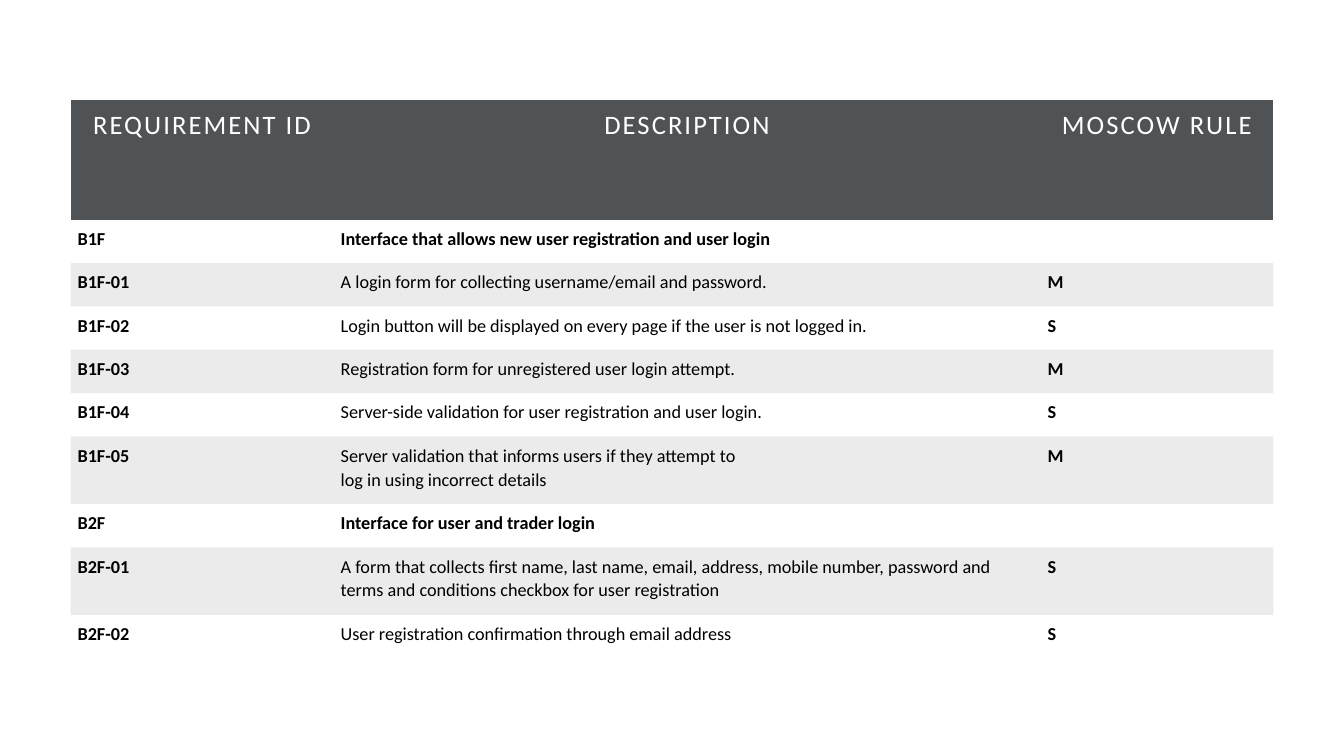
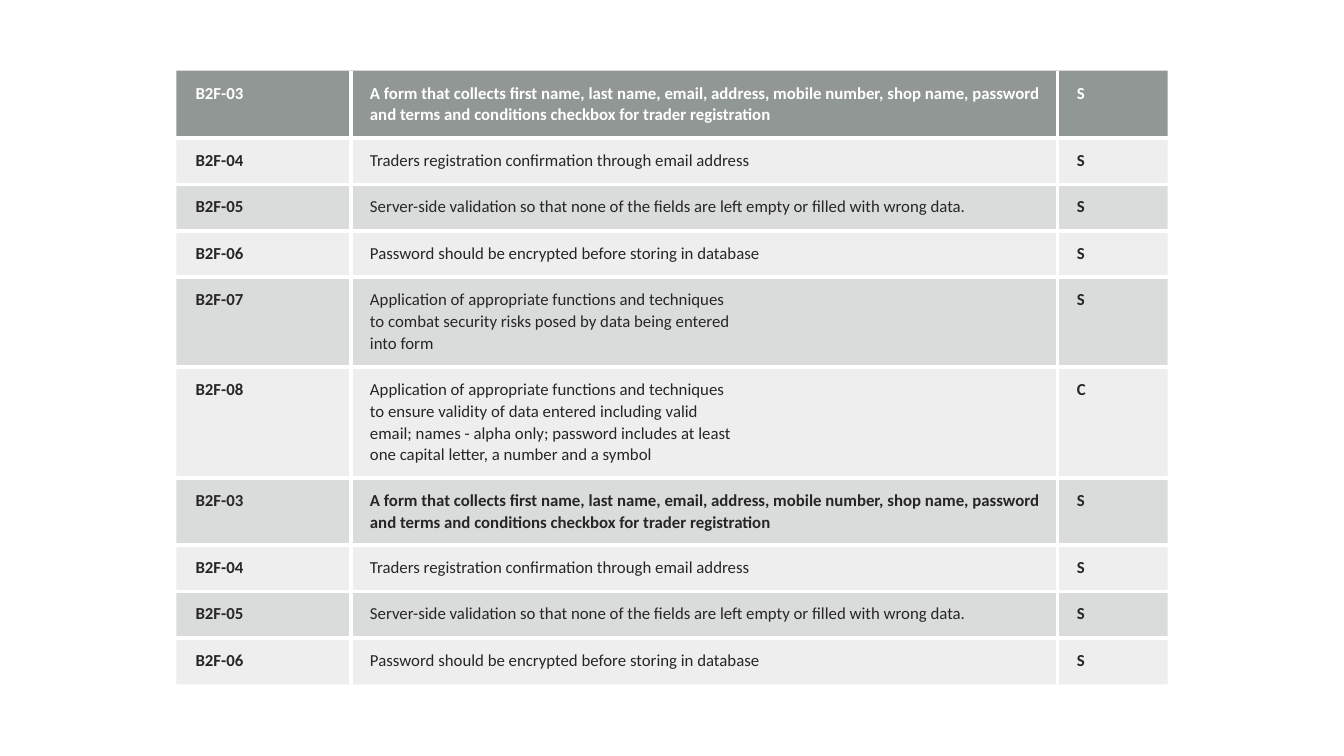
"""Build two slides of requirement tables."""
from lxml import etree
from pptx import Presentation
from pptx.dml.color import RGBColor
from pptx.enum.text import PP_ALIGN
from pptx.oxml.ns import qn
from pptx.util import Inches, Pt

CENTER, LEFT = PP_ALIGN.CENTER, PP_ALIGN.LEFT
PLAIN = "{2D5ABB26-0587-4C30-8999-92F81FD0307C}"
COLORS = {"white": "FFFFFF", "black": "000000", "ink": "262626",
          "slate": "505356", "moss": "636B68", "sage": "878E8B"}
GROUPS = {"B1F", "B2F", "B2F-03"}

USERS = [
    ("REQUIREMENT ID", "DESCRIPTION", "MOSCOW RULE"),
    ("B1F", "Interface that allows new user registration and user login", ""),
    ("B1F-01", "A login form for collecting username/email and password.", "M"),
    ("B1F-02", "Login button will be displayed on every page if the user is "
     "not logged in.", "S"),
    ("B1F-03", "Registration form for unregistered user login attempt.", "M"),
    ("B1F-04", "Server-side validation for user registration and user login.",
     "S"),
    ("B1F-05", "Server validation that informs users if they attempt to\n"
     "log in using incorrect details", "M"),
    ("B2F", "Interface for user and trader login", ""),
    ("B2F-01", "A form that collects first name, last name, email, address, "
     "mobile number, password and terms and conditions checkbox for user "
     "registration", "S"),
    ("B2F-02", "User registration confirmation through email address", "S"),
]
TRADERS = [
    ("B2F-03", "A form that collects first name, last name, email, address, "
     "mobile number, shop name, password and terms and conditions checkbox "
     "for trader registration", "S"),
    ("B2F-04", "Traders registration confirmation through email address", "S"),
    ("B2F-05", "Server-side validation so that none of the fields are left "
     "empty or filled with wrong data.", "S"),
    ("B2F-06", "Password should be encrypted before storing in database", "S"),
]
SAFETY = [
    ("B2F-07", "Application of appropriate functions and techniques\n"
     "to combat security risks posed by data being entered\ninto form", "S"),
    ("B2F-08", "Application of appropriate functions and techniques\n"
     "to ensure validity of data entered including valid\n"
     "email; names - alpha only; password includes at least\n"
     "one capital letter, a number and a symbol", "C"),
]


class Deck:
    """Hold the shared style and the current slide."""

    def __init__(self):
        self.prs = Presentation()
        self.prs.slide_width = Inches(13.33)
        self.prs.slide_height = Inches(7.5)
        self.font = "Calibri"
        self.slide = None

    def page(self):
        """Start a slide without a title."""
        self.slide = self.prs.slides.add_slide(self.prs.slide_layouts[6])

    def table(self, left, top, widths, heights, rows):
        """Add a plain table and return it."""
        frame = self.slide.shapes.add_table(
            len(rows), len(widths), Inches(left), Inches(top),
            Inches(sum(widths)), Inches(sum(heights)))
        table = frame.table
        table.first_row = table.horz_banding = False
        table._tbl.tblPr.find(qn("a:tableStyleId")).text = PLAIN
        for col, width in zip(table.columns, widths):
            col.width = Inches(width)
        for row, height, texts in zip(table.rows, heights, rows):
            row.height = Inches(height)
            for cell, text in zip(row.cells, texts):
                cell.text_frame.text = text
        return table

    def pad(self, cell, left, rest):
        """Set the insets of a cell."""
        cell.margin_left = Inches(left)
        cell.margin_right = cell.margin_top = cell.margin_bottom = Inches(rest)

    def style(self, cell, size, color, bold, align=LEFT, gap=0):
        """Format every paragraph of a cell."""
        for para in cell.text_frame.paragraphs:
            para.alignment = align
            para.line_spacing = 1.07
            para.font.name = self.font
            para.font.size = Pt(size)
            para.font.bold = bold
            para.font.color.rgb = RGBColor.from_string(COLORS[color])
            if gap:
                para._p.pPr.find(qn("a:defRPr")).set("spc", str(gap))

    def fill(self, cell, color, alpha):
        """Fill a cell with a color at a percentage of opacity."""
        if not alpha:
            cell.fill.background()
            return
        cell.fill.solid()
        cell.fill.fore_color.rgb = RGBColor.from_string(COLORS[color])
        if alpha < 100:
            tint = cell._tc.tcPr.find(
                f"{qn('a:solidFill')}/{qn('a:srgbClr')}")
            etree.SubElement(tint, qn("a:alpha"), val=str(alpha * 1000))

    def rules(self, cell, sides):
        """Draw white lines on the given sides of a cell."""
        props = cell._tc.get_or_add_tcPr()
        for side in sides:
            line = etree.SubElement(props, qn("a:ln" + side), w=str(Pt(3)))
            solid = etree.SubElement(line, qn("a:solidFill"))
            etree.SubElement(solid, qn("a:srgbClr"), val=COLORS["white"])


def users(deck):
    """Build the slide on user requirements."""
    deck.page()
    heights = [1.19] + [0.43] * 5 + [0.67, 0.43, 0.67, 0.43]
    table = deck.table(0.7, 0.99, [2.61, 7.01, 2.31], heights, USERS)
    for r, row in enumerate(table.rows):
        for c, cell in enumerate(row.cells):
            deck.pad(cell, 0.07, 0.07)
            if r == 0:
                deck.style(cell, 19, "white", False, CENTER, 150)
                deck.fill(cell, "slate", 100)
            else:
                bold = c != 1 or USERS[r][0] in GROUPS
                deck.style(cell, 13, "black", bold)
                deck.fill(cell, "black", 0 if r % 2 else 8)


def traders(deck):
    """Build the slide on trader requirements."""
    deck.page()
    rows = TRADERS + SAFETY + TRADERS
    block = [0.67] + [0.46] * 3
    heights = block + [0.89, 1.1] + block
    widths = [1.73, 7.01, 1.09]
    table = deck.table(1.75, 0.7, widths, heights, rows)
    for r, row in enumerate(table.rows):
        for c, cell in enumerate(row.cells):
            inner = {"L": c > 0, "R": c < len(widths) - 1,
                     "T": r > 0, "B": r < len(rows) - 1}
            deck.pad(cell, 0.19, 0.11)
            deck.rules(cell, [side for side in inner if inner[side]])
            bold = c != 1 or rows[r][0] in GROUPS
            deck.style(cell, 12, "ink" if r else "white", bold)
            if r == 0:
                deck.fill(cell, "moss", 70)
            else:
                deck.fill(cell, "sage", 15 if r % 2 else 30)


def main():
    """Build and save the deck."""
    deck = Deck()
    users(deck)
    traders(deck)
    deck.prs.save("out.pptx")


if __name__ == "__main__":
    main()
